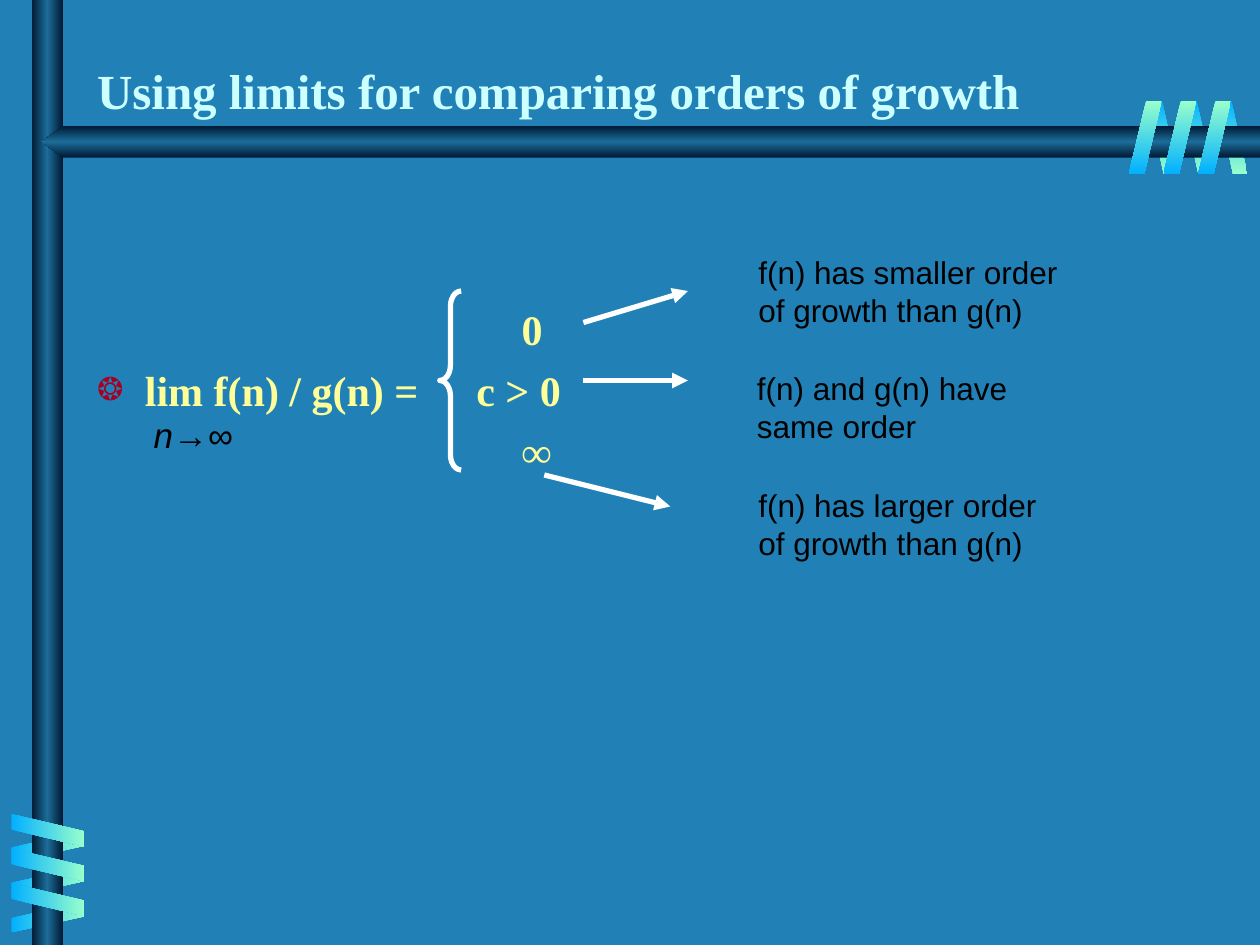
import pptx
import pptx.util
import pptx.dml.color
import pptx.enum.shapes
import pptx.enum.text
import pptx.oxml.ns
import lxml.etree

Inches = pptx.util.Inches
Pt = pptx.util.Pt
RGBColor = pptx.dml.color.RGBColor
Shape = pptx.enum.shapes.MSO_SHAPE
Align = pptx.enum.text.PP_ALIGN
Anchor = pptx.enum.text.MSO_ANCHOR
qn = pptx.oxml.ns.qn

BACKGROUND = RGBColor(0x21, 0x81, 0xB7)
BLUE = RGBColor(0x01, 0xB0, 0xFF)
MINT = RGBColor(0x99, 0xFF, 0xCC)
NAVY = RGBColor(0x00, 0x19, 0x32)
STEEL = RGBColor(0x1C, 0x6D, 0x9A)
TITLE = RGBColor(0xCC, 0xFF, 0xFF)
YELLOW = RGBColor(0xFF, 0xFF, 0x99)
RED = RGBColor(0xA5, 0x00, 0x21)
WHITE = RGBColor(0xFF, 0xFF, 0xFF)
BLACK = RGBColor(0x00, 0x00, 0x00)

STRIP_LENGTH = 0.58


def child(parent, tag, **attributes):
    return lxml.etree.SubElement(parent, qn(tag), attributes)


def write(para, text, font="Arial", size=18, color=BLACK, bold=False, italic=False, spacing=None):
    for index, line in enumerate(text.split("\n")):
        if index:
            para.add_line_break()
        span = para.add_run()
        span.text = line
        span.font.name = font
        span.font.size = Pt(size)
        span.font.color.rgb = color
        span.font.bold = bold
        span.font.italic = italic
        if spacing:
            span.font._element.set("spc", str(spacing * 100))


def place(shape, box):
    shape.left, shape.top, shape.width, shape.height = (Inches(length) for length in box)


def add_gradient_shape(page, kind, box, colors, angle=90, flip=False, adjustment=None):
    shape = page.shapes.add_shape(kind, *(Inches(length) for length in box))
    shape.shadow.inherit = False
    shape.line.fill.background()
    if adjustment is not None:
        shape.adjustments[0] = adjustment
    if flip:
        shape._element.spPr.find(qn("a:xfrm")).set("flipH", "1")
    shape.fill.gradient()
    gradient = shape._element.spPr.find(qn("a:gradFill"))
    stops = gradient.find(qn("a:gsLst"))
    for stop in list(stops):
        stops.remove(stop)
    for index, color in enumerate(colors):
        position = 100000 * index // (len(colors) - 1)
        stop = child(stops, "a:gs", pos=str(position))
        child(stop, "a:srgbClr", val=str(color))
    gradient.find(qn("a:lin")).set("ang", str(angle * 60000))
    return shape


def add_coil(page, left, top, width, step, colors, flip=False, upright=True):
    for index in range(3):
        if upright:
            box = (left + step * (2 - index), top, width, STRIP_LENGTH)
        else:
            shift = (STRIP_LENGTH - width) / 2
            box = (left + shift, top + step * index - shift, width, STRIP_LENGTH)
        strip = add_gradient_shape(page, Shape.PARALLELOGRAM, box, colors, flip=flip, adjustment=0.53)
        strip.rotation = 0 if upright else 270


def add_frame(page):
    tube = (NAVY, STEEL, NAVY)
    add_coil(page, 9.11, 0.8, 0.24, 0.275, (BLUE, MINT), flip=True)
    add_coil(page, 0.09, 6.6, 0.24, 0.28, (BLUE, MINT), flip=True, upright=False)
    add_gradient_shape(page, Shape.RECTANGLE, (0.25, 0, 0.25, 7.5), tube, angle=0)
    add_gradient_shape(page, Shape.PENTAGON, (0.33, 1, 9.67, 0.25), tube, flip=True, adjustment=0.68)
    add_coil(page, 0.09, 6.46, 0.26, 0.275, (BLUE, MINT), upright=False)
    add_coil(page, 8.96, 0.8, 0.26, 0.275, (MINT, BLUE))


def add_title(page, box, text):
    title = page.shapes.title
    place(title, box)
    title.text_frame.vertical_anchor = Anchor.BOTTOM
    title.text_frame.auto_size = pptx.enum.text.MSO_AUTO_SIZE.NONE
    para = title.text_frame.paragraphs[0]
    para.alignment = Align.LEFT
    write(para, text, font="Times New Roman", size=28, color=TITLE, bold=True)


def indent(para, margin, hanging=0):
    properties = para._p.get_or_add_pPr()
    properties.set("marL", str(Inches(margin)))
    properties.set("indent", str(-Inches(hanging)))
    return properties


def add_limit(page, box):
    body = page.placeholders[1]
    place(body, box)
    frame = body.text_frame
    frame.auto_size = pptx.enum.text.MSO_AUTO_SIZE.NONE
    frame.vertical_anchor = Anchor.TOP
    frame.margin_top = Inches(1.02)
    style = dict(font="Times New Roman", size=24, color=YELLOW, bold=True)

    zero, limit, infinity = frame.paragraphs[0], frame.add_paragraph(), frame.add_paragraph()
    for para, gap in ((zero, 0), (limit, 6), (infinity, 6)):
        para.space_before = Pt(gap)
    for para, text in ((zero, "0"), (infinity, "∞")):
        child(indent(para, 3.37), "a:buNone")
        write(para, text, **style)

    bullet = indent(limit, 0.38, 0.38)
    child(child(bullet, "a:buClr"), "a:srgbClr", val=str(RED))
    child(bullet, "a:buSzPct", val="75000")
    child(bullet, "a:buChar", char="❂")
    write(limit, "lim f(n) / g(n) =", **style)
    write(limit, " ", spacing=27, **style)
    write(limit, "c > 0", **style)


def add_brace(page, box):
    brace = page.shapes.add_shape(Shape.LEFT_BRACE, *(Inches(length) for length in box))
    brace.adjustments[0] = 0.71
    brace.shadow.inherit = False
    brace.fill.background()
    brace.line.color.rgb = WHITE
    brace.line.width = Pt(3)


def add_label(page, box, wrap=False):
    label = page.shapes.add_textbox(*(Inches(length) for length in box))
    label.text_frame.word_wrap = wrap
    return label.text_frame.paragraphs[0]


def add_arrow(page, start, end):
    arrow = page.shapes.add_connector(
        pptx.enum.shapes.MSO_CONNECTOR.STRAIGHT, *(Inches(length) for length in start + end))
    arrow.line.color.rgb = WHITE
    arrow.line.width = Pt(3)
    child(arrow.line._get_or_add_ln(), "a:tailEnd", type="triangle")
    child(arrow._element.spPr, "a:effectLst")


def add_cases(page):
    cases = (
        ("f(n) has smaller order \nof growth than g(n)", (5.92, 1.96, 2.65, 0.7), False, (4.63, 2.56), (5.46, 2.31)),
        ("f(n) and g(n) have same order", (5.91, 2.88, 2.67, 0.7), True, (4.63, 3.02), (5.46, 3.02)),
        ("f(n) has larger order \nof growth than g(n)", (5.92, 3.81, 2.48, 0.7), False, (4.32, 3.77), (5.32, 4.02)),
    )
    for text, box, wrap, start, end in cases:
        write(add_label(page, box, wrap), text)
        add_arrow(page, start, end)


def main():
    deck = pptx.Presentation()
    deck.slide_width, deck.slide_height = Inches(10), Inches(7.5)
    page = deck.slides.add_slide(deck.slide_layouts[1])
    page.background.fill.solid()
    page.background.fill.fore_color.rgb = BACKGROUND

    add_frame(page)
    add_title(page, (0.67, 0.25, 8.3, 0.75), "Using limits for comparing orders of growth")
    add_limit(page, (0.67, 1.39, 9.08, 5.36))
    add_brace(page, (3.49, 2.31, 0.17, 1.42))
    para = add_label(page, (1.12, 3.23, 0.83, 0.43))
    para.alignment = Align.CENTER
    write(para, "n", size=20, italic=True)
    write(para, "→∞", size=20)
    add_cases(page)
    deck.save("out.pptx")


if __name__ == "__main__":
    main()
